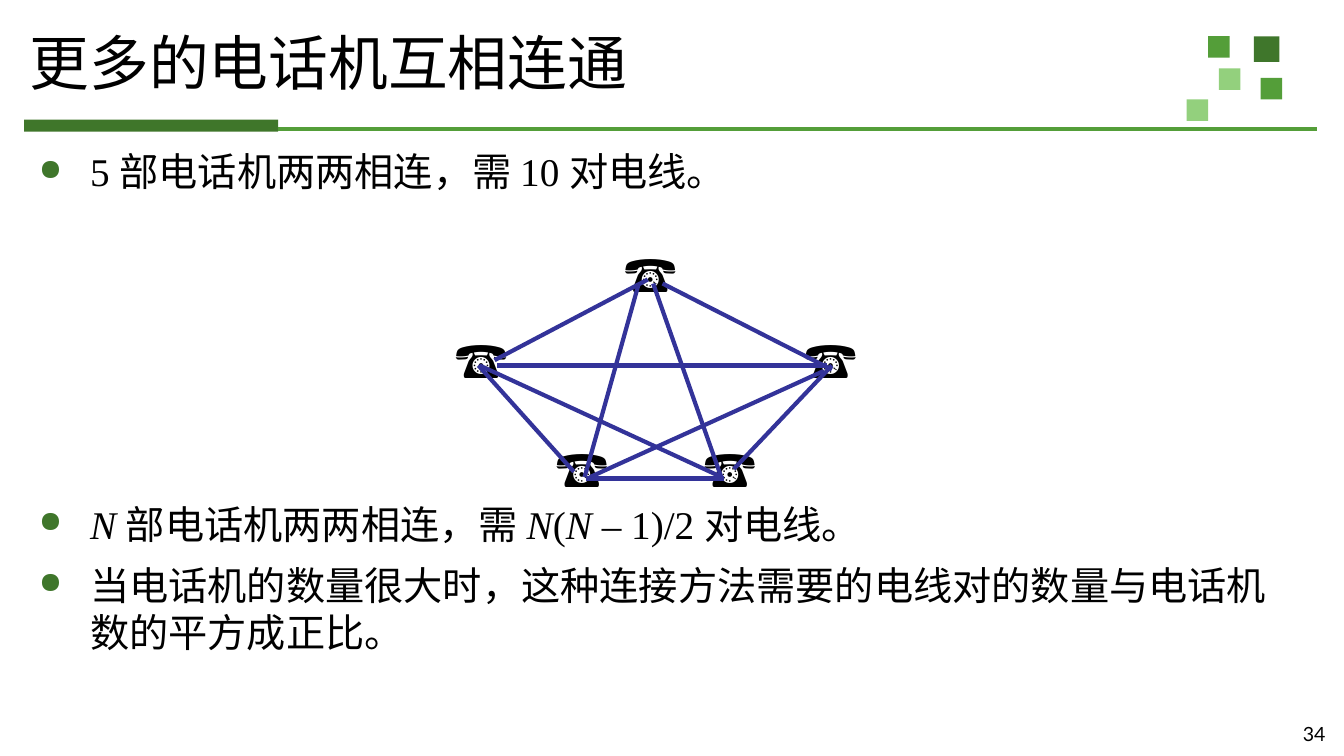
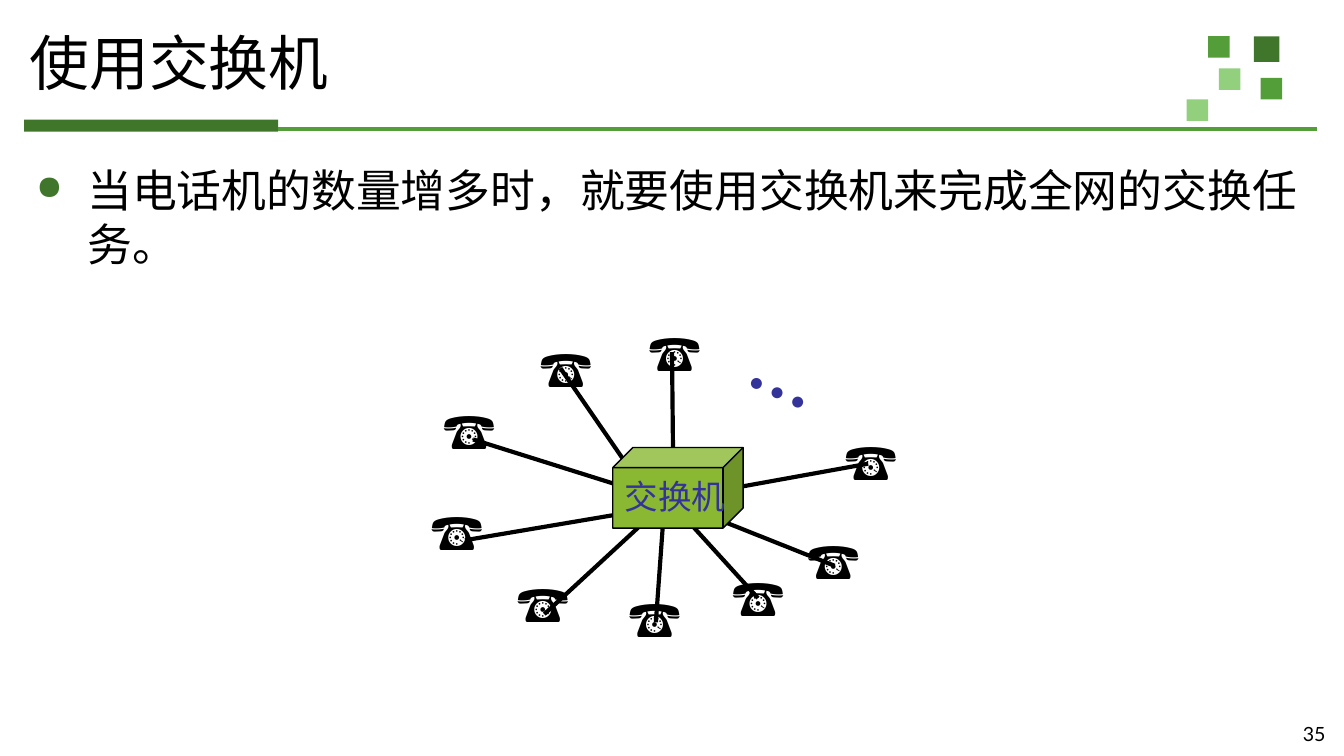
from typing import NamedTuple

import lxml.etree
import pptx
import pptx.dml.color
import pptx.enum.shapes
import pptx.enum.text
import pptx.oxml.ns
import pptx.util

PX = 9144  # EMU per px, 100 px to the inch
SLIDE_WIDTH = 1000
SERIF = "Times New Roman"
COLORS = {
    "black": "000000",
    "bar": "3F762A",
    "dark": "3F762B",
    "green": "549E39",
    "light": "93D07D",
    "blue": "333399",
    "switch": "8AB833",
}
SHAPES = pptx.enum.shapes.MSO_SHAPE
ALIGN = pptx.enum.text.PP_ALIGN


class Box(NamedTuple):
    left: int
    top: int
    width: int
    height: int


class Wire(NamedTuple):
    x1: int
    y1: int
    x2: int
    y2: int


class Phone(NamedTuple):
    left: int
    top: int


class Square(NamedTuple):
    left: int
    top: int
    size: int
    color: str


class Run(NamedTuple):
    text: str
    italic: bool = False


RULE = Wire(207, 96, 980, 96)
TITLE_BAR = Box(18, 89, 189, 9)
SQUARES = [
    Square(933, 27, 19, "dark"),
    Square(899, 27, 16, "green"),
    Square(938, 58, 16, "green"),
    Square(907, 51, 16, "light"),
    Square(883, 74, 16, "light"),
]

MESH_PHONES = [Phone(455, 175), Phone(329, 239), Phone(404, 320),
               Phone(589, 239), Phone(514, 320)]
MESH_WIRES = [
    Wire(368, 268, 482, 208), Wire(493, 211, 619, 275),
    Wire(356, 272, 427, 351), Wire(436, 356, 539, 356),
    Wire(546, 349, 619, 272), Wire(486, 211, 537, 356),
    Wire(475, 212, 435, 355), Wire(370, 272, 615, 272),
    Wire(357, 272, 537, 355), Wire(439, 355, 613, 276),
]
STAR_PHONES = [
    Phone(473, 234), Phone(320, 292), Phone(375, 421),
    Phone(619, 315), Phone(535, 416), Phone(311, 367),
    Phone(392, 246), Phone(458, 432), Phone(591, 389),
]
STAR_WIRES = [
    Wire(621, 421, 518, 380), Wire(488, 463, 494, 380),
    Wire(346, 402, 476, 380), Wire(417, 274, 468, 348),
    Wire(501, 357, 500, 262), Wire(530, 366, 646, 345),
    Wire(352, 327, 473, 365), Wire(405, 457, 482, 386),
    Wire(564, 445, 494, 368),
]


def rgb(color: str) -> pptx.dml.color.RGBColor:
    return pptx.dml.color.RGBColor.from_string(COLORS[color])


def emu(lengths: tuple) -> list[int]:
    return [length * PX for length in lengths]


def style(paragraph, size: float, color: str = "black", name: str = SERIF) -> None:
    paragraph.font.size = pptx.util.Pt(size)
    paragraph.font.name = name
    paragraph.font.color.rgb = rgb(color)


def hang(paragraph, indent: int) -> None:
    properties = paragraph._p.get_or_add_pPr()
    properties.set("marL", str(indent * PX))
    properties.set("indent", str(-indent * PX))


def add_bullet(paragraph) -> None:
    properties = paragraph._p.get_or_add_pPr()
    qn = pptx.oxml.ns.qn
    bullet_color = lxml.etree.SubElement(properties, qn("a:buClr"))
    lxml.etree.SubElement(bullet_color, qn("a:srgbClr"), val=COLORS["dark"])
    lxml.etree.SubElement(properties, qn("a:buSzPct"), val="75000")
    lxml.etree.SubElement(properties, qn("a:buChar"), char="●")


def add_frame(slide, box: Box):
    """Add a wrapping text box with the narrow insets of title and body."""
    frame = slide.shapes.add_textbox(*emu(box)).text_frame
    frame.word_wrap = True
    frame.margin_left = frame.margin_right = 7 * PX
    frame.margin_top = frame.margin_bottom = 4 * PX
    return frame


def add_label(slide, box: Box, text: str, size: float, color: str = "black"):
    """Add a one-line label that does not wrap."""
    shape = slide.shapes.add_textbox(*emu(box))
    frame = shape.text_frame
    frame.word_wrap = False
    frame.auto_size = pptx.enum.text.MSO_AUTO_SIZE.SHAPE_TO_FIT_TEXT
    frame.text = text
    style(frame.paragraphs[0], size, color)
    return shape


def add_solid(slide, kind: SHAPES, box: Box, color: str):
    shape = slide.shapes.add_shape(kind, *emu(box))
    shape.shadow.inherit = False
    shape.fill.solid()
    shape.fill.fore_color.rgb = rgb(color)
    shape.line.fill.background()
    return shape


def add_wire(slide, wire: Wire, color: str, width: float = 2.25) -> None:
    connector = slide.shapes.add_connector(
        pptx.enum.shapes.MSO_CONNECTOR.STRAIGHT, *emu(wire))
    connector.line.color.rgb = rgb(color)
    connector.line.width = pptx.util.Pt(width)
    lxml.etree.SubElement(connector._element.spPr, pptx.oxml.ns.qn("a:effectLst"))


def add_network(slide, phones: list[Phone], wires: list[Wire], color: str) -> None:
    for phone in phones:
        add_label(slide, Box(*phone, 71, 56), "☎", 27)
    for wire in wires:
        add_wire(slide, wire, color)


def add_bullets(slide, box: Box, items: list[list[Run]], size: float) -> None:
    frame = add_frame(slide, box)
    for index, runs in enumerate(items):
        paragraph = frame.add_paragraph() if index else frame.paragraphs[0]
        hang(paragraph, 38)
        add_bullet(paragraph)
        if index:
            paragraph.space_before = pptx.util.Pt(7.5)
        style(paragraph, size)
        for part in runs:
            run = paragraph.add_run()
            run.text = part.text
            if part.italic:
                run.font.italic = True


def add_slide(presentation, title: str, number: int):
    """Add a slide with the shared band, squares, title and number."""
    slide = presentation.slides.add_slide(presentation.slide_layouts[6])
    add_solid(slide, SHAPES.RECTANGLE, TITLE_BAR, "bar")
    add_wire(slide, RULE, "green", 2)
    for left, top, size, color in SQUARES:
        add_solid(slide, SHAPES.RECTANGLE, Box(left, top, size, size), color)

    frame = add_frame(slide, Box(15, 14, 963, 71))
    frame.vertical_anchor = pptx.enum.text.MSO_ANCHOR.MIDDLE
    frame.text = title
    paragraph = frame.paragraphs[0]
    hang(paragraph, 75)
    paragraph.line_spacing = 0.9
    style(paragraph, 32)

    frame = slide.shapes.add_textbox(*emu(Box(938, 532, 58, 30))).text_frame
    frame.word_wrap = True
    frame.text = str(number)
    frame.paragraphs[0].alignment = ALIGN.RIGHT
    style(frame.paragraphs[0], 10.5, name="Lato")
    return slide


def build_mesh(presentation) -> None:
    slide = add_slide(presentation, "更多的电话机互相连通", 34)
    add_bullets(slide, Box(22, 106, 940, 60),
                [[Run("5 部电话机两两相连，需 10 对电线。")]], 21)
    add_bullets(slide, Box(22, 368, 940, 167), [
        [Run("N ", True), Run("部电话机两两相连，需 "), Run("N", True),
         Run("("), Run("N", True), Run(" – 1)/2 对电线。")],
        [Run("当电话机的数量很大时，这种连接方法需要的电线对的数量与电话机数的平方成正比。")],
    ], 21)
    add_network(slide, MESH_PHONES, MESH_WIRES, "blue")


def build_star(presentation) -> None:
    slide = add_slide(presentation, "使用交换机", 35)
    add_bullets(slide, Box(20, 117, 963, 365),
                [[Run("当电话机的数量增多时，就要使用交换机来完成全网的交换任务。")]], 24)
    dots = add_label(slide, Box(550, 243, 71, 71), "…", 36, "blue")
    dots.rotation = 24.3
    dots.text_frame.paragraphs[0].font.bold = True
    add_network(slide, STAR_PHONES, STAR_WIRES, "black")

    # The switch covers the inner ends of the wires
    switch = add_solid(slide, SHAPES.CUBE, Box(456, 333, 97, 60), "switch")
    switch.adjustments[0] = 0.25
    switch.line.color.rgb = rgb("black")
    switch.line.width = pptx.util.Pt(0.75)
    add_label(slide, Box(455, 349, 96, 40), "交换机", 18, "blue")


def main() -> None:
    presentation = pptx.Presentation()
    # Widescreen, 16 to 9
    presentation.slide_width = SLIDE_WIDTH * PX
    presentation.slide_height = SLIDE_WIDTH * PX * 9 // 16
    build_mesh(presentation)
    build_star(presentation)
    presentation.save("out.pptx")


if __name__ == "__main__":
    main()
